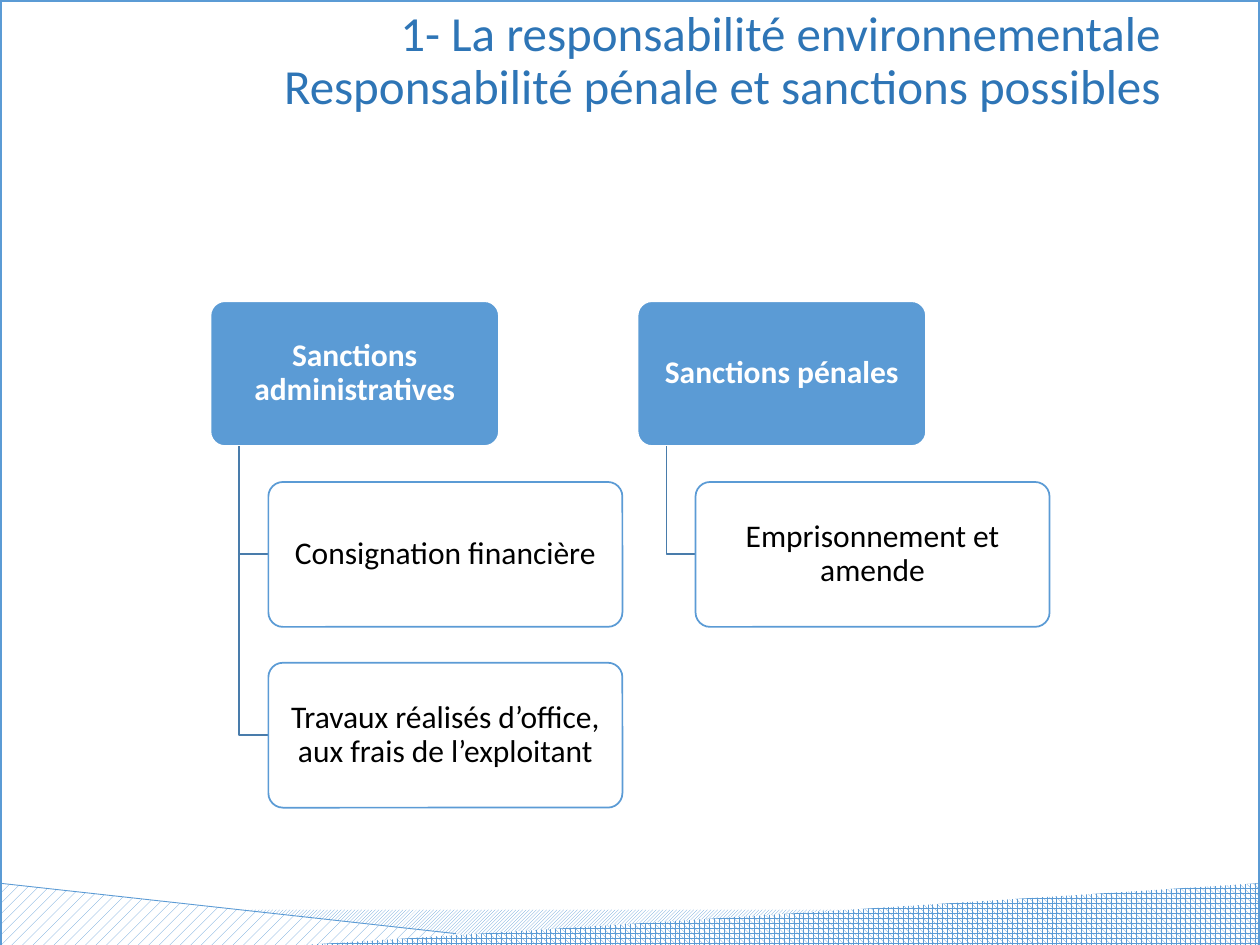
from lxml.etree import SubElement
from pptx import Presentation
from pptx.dml.color import RGBColor
from pptx.enum.dml import MSO_PATTERN
from pptx.enum.shapes import MSO_CONNECTOR, MSO_SHAPE
from pptx.enum.text import MSO_ANCHOR, MSO_AUTO_SIZE, PP_ALIGN
from pptx.oxml.ns import qn
from pptx.util import Inches, Pt

BLUE, TITLE_BLUE, LINK_BLUE = "5B9BD5", "2E75B6", "497CAB"
WHITE, BLACK = "FFFFFF", "000000"

TITLE = ("1- La responsabilité environnementale\v"
         "Responsabilité pénale et sanctions possibles")
BRANCHES = [
    ("Sanctions administratives",
     ["Consignation financière",
      "Travaux réalisés d’office, aux frais de l’exploitant"]),
    ("Sanctions pénales", ["Emprisonnement et amende"]),
]
BRANCH_LEFT, BRANCH_STEP = 1.67, 3.39
HEAD_TOP, HEAD_WIDTH = 2.39, 2.29
BOX_HEIGHT, ROW_STEP = 1.15, 1.435
CHILD_WIDTH, CHILD_INDENT, LINK_INDENT = 2.81, 0.46, 0.23


def rgb(color):
    return RGBColor.from_string(color)


def set_line(shape, color, width):
    shape.line.color.rgb = rgb(color)
    shape.line.width = Pt(width)


def set_pattern(shape, pattern):
    shape.shadow.inherit = False
    shape.fill.patterned()
    shape.fill.pattern = pattern
    shape.fill.fore_color.rgb = rgb(BLUE)
    shape.fill.back_color.rgb = rgb(WHITE)
    shape.line.fill.background()


def format_paragraph(paragraph, align, size, color, bold=False):
    paragraph.alignment = align
    paragraph.line_spacing = 0.9
    paragraph.font.name = "Calibri"
    paragraph.font.size = Pt(size)
    paragraph.font.bold = bold
    paragraph.font.color.rgb = rgb(color)


def add_outline(shapes, points, close):
    (start, *others) = [(Inches(x), Inches(y)) for x, y in points]
    builder = shapes.build_freeform(*start)
    builder.add_line_segments(others, close=close)
    outline = builder.convert_to_shape()
    outline.shadow.inherit = False
    return outline


def add_backdrop(shapes):
    """Patterned wedges along the foot and a thin frame round the slide."""
    band = shapes.add_shape(MSO_SHAPE.RECTANGLE, Inches(1.3), Inches(7.22),
                            Inches(6.56), Inches(0.32))
    set_pattern(band, MSO_PATTERN.LIGHT_UPWARD_DIAGONAL)
    wedges = [
        ([(0, 7.01), (4.37, 7.5), (4.28, 7.52), (0, 7.52)],
         MSO_PATTERN.PERCENT_20),
        ([(2.27, 7.51), (9.99, 7.01), (10, 7.52), (2.19, 7.52)],
         MSO_PATTERN.SPHERE),
    ]
    for points, pattern in wedges:
        set_pattern(add_outline(shapes, points, close=True), pattern)

    slope = shapes.add_connector(MSO_CONNECTOR.STRAIGHT, Inches(0), Inches(7.01),
                                 Inches(3.62), Inches(7.41))
    set_line(slope, BLUE, 0.5)
    SubElement(slope._element.spPr, qn("a:effectLst"))

    frame = shapes.add_shape(MSO_SHAPE.RECTANGLE, Inches(0), Inches(0),
                             Inches(10), Inches(7.52))
    frame.shadow.inherit = False
    frame.fill.background()
    set_line(frame, BLUE, 2.25)


def add_title(shapes):
    title = shapes.title
    title.left, title.top = Inches(0.69), Inches(0.02)
    title.width, title.height = Inches(8.62), Inches(1.16)
    frame = title.text_frame
    frame.text = TITLE
    frame.auto_size = MSO_AUTO_SIZE.NONE
    frame.vertical_anchor = MSO_ANCHOR.TOP
    format_paragraph(frame.paragraphs[0], PP_ALIGN.RIGHT, 28, TITLE_BLUE)
    shapes._spTree.append(title._element)  # in front of the backdrop


def add_box(shapes, text, left, top, width, is_head):
    box = shapes.add_shape(MSO_SHAPE.ROUNDED_RECTANGLE, Inches(left), Inches(top),
                           Inches(width), Inches(BOX_HEIGHT))
    box.adjustments[0] = 0.1
    box.shadow.inherit = False
    box.fill.solid()
    box.fill.fore_color.rgb = rgb(BLUE if is_head else WHITE)
    set_line(box, WHITE if is_head else BLUE, 1)
    frame = box.text_frame
    frame.text = text
    frame.word_wrap = True
    frame.vertical_anchor = MSO_ANCHOR.MIDDLE
    frame.margin_left = frame.margin_right = Inches(0.07)
    frame.margin_top = frame.margin_bottom = Inches(0.06)
    format_paragraph(frame.paragraphs[0], PP_ALIGN.CENTER, 18,
                     WHITE if is_head else BLACK, bold=is_head)


def add_branch(shapes, left, head, children):
    add_box(shapes, head, left, HEAD_TOP, HEAD_WIDTH, is_head=True)
    trunk, child_left = left + LINK_INDENT, left + CHILD_INDENT
    for row, child in enumerate(children, start=1):
        top = HEAD_TOP + row * ROW_STEP
        middle = top + BOX_HEIGHT / 2
        link = add_outline(shapes, [(trunk, HEAD_TOP + BOX_HEIGHT),
                                    (trunk, middle), (child_left, middle)],
                           close=False)
        link.fill.background()
        set_line(link, LINK_BLUE, 1)
        add_box(shapes, child, child_left, top, CHILD_WIDTH, is_head=False)


def main():
    deck = Presentation()
    deck.slide_width, deck.slide_height = Inches(10), Inches(7.5)
    shapes = deck.slides.add_slide(deck.slide_layouts[5]).shapes
    add_backdrop(shapes)
    add_title(shapes)
    for column, (head, children) in enumerate(BRANCHES):
        add_branch(shapes, BRANCH_LEFT + column * BRANCH_STEP, head, children)
    deck.save("out.pptx")


if __name__ == "__main__":
    main()
